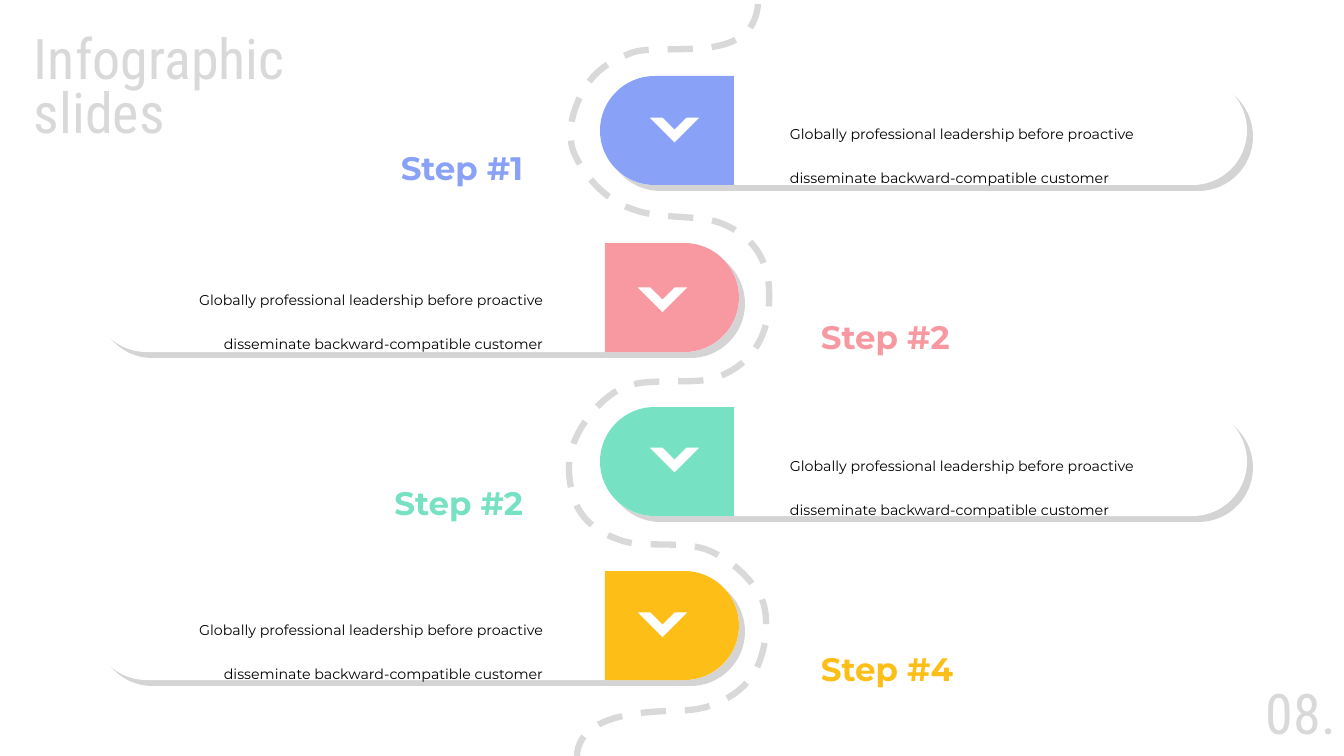
"""Build the four-step winding-road infographic slide."""
from dataclasses import dataclass

from lxml.etree import SubElement
from pptx import Presentation
from pptx.dml.color import RGBColor
from pptx.enum.dml import MSO_LINE
from pptx.enum.shapes import MSO_SHAPE
from pptx.enum.text import MSO_AUTO_SIZE, PP_ALIGN
from pptx.oxml.ns import qn
from pptx.util import Pt

PX = 18143


@dataclass(frozen=True)
class Theme:
    title_font: str = "Roboto Condensed"
    body_font: str = "Montserrat"
    display_size: int = 80
    body_size: int = 35
    road_width: int = 9
    grey: str = "D9D9D9"
    black: str = "000000"
    white: str = "FFFFFF"
    blue: str = "89A2F7"
    pink: str = "F899A2"
    green: str = "77E1C3"
    yellow: str = "FDBE17"


theme = Theme()
deck = Presentation()
deck.slide_width, deck.slide_height = 1344 * PX, 756 * PX
page = deck.slides.add_slide(deck.slide_layouts[6])


def add_text(text, frame, font, size, color, spacing, align=PP_ALIGN.LEFT, bold=False, raised=False):
    box = page.shapes.add_textbox(*(length * PX for length in frame))
    box.text_frame.word_wrap = True
    box.text_frame.auto_size = MSO_AUTO_SIZE.SHAPE_TO_FIT_TEXT
    para = box.text_frame.paragraphs[0]
    para.text = text
    para.alignment = align
    para.line_spacing = spacing
    para.font.name = font
    para.font.size = Pt(size)
    para.font.bold = bold
    para.font.color.rgb = RGBColor.from_string(color)
    if raised:
        for span in para.runs:
            span._r.get_or_add_rPr().set("baseline", "30000")


def add_outline(start, segments, color, closed=True):
    """Draw segments of one point (line) or three points (Bezier curve)."""
    builder = page.shapes.build_freeform(start[0] * PX, start[1] * PX, scale=1.0)
    builder.add_line_segments([(x * PX, y * PX) for x, y in (part[-1] for part in segments)], close=closed)
    shape = builder.convert_to_shape()
    shape.shadow.inherit = False
    lines = list(shape._element.iter(qn("a:lnTo")))
    for line, part in zip(lines, segments):
        if len(part) == 3:
            line.tag = qn("a:cubicBezTo")
            line.clear()
            for x, y in part:
                SubElement(line, qn("a:pt"), x=str(int(x * PX - shape.left)), y=str(int(y * PX - shape.top)))
    if closed:
        shape.fill.solid()
        shape.fill.fore_color.rgb = RGBColor.from_string(color)
        shape.line.fill.background()
    else:
        shape.fill.background()
        shape.line.color.rgb = RGBColor.from_string(color)
    return shape


PILL_WIDTH, TAB_WIDTH, HEIGHT = 647, 134, 109
RADIUS = HEIGHT / 2
HANDLE = RADIUS * 0.45
DETAIL = "Globally professional leadership before proactive disseminate backward-compatible customer"
CHEVRON = [(35, 0), (35, 35), (26, 26), (26, 9), (9, 9)]
STEPS = [
    ("Step #1", theme.blue, 76, 100, 105, (243, 105, 285, 106)),
    ("Step #2", theme.pink, 243, 270, 271, (816, 274, 260, 106)),
    ("Step #2", theme.green, 407, 430, 437, (277, 440, 251, 106)),
    ("Step #4", theme.yellow, 571, 595, 601, (816, 606, 260, 106)),
]

for index, (label, color, top, chevron_top, detail_top, label_frame) in enumerate(STEPS):
    opens_right = index % 2 == 0
    pill_left, chevron_left, detail_left = (600, 657, 785) if opens_right else (92, 645, 126)
    pill = page.shapes.add_shape(
        MSO_SHAPE.ROUNDED_RECTANGLE, pill_left * PX, top * PX, PILL_WIDTH * PX, HEIGHT * PX
    )
    pill.adjustments[0] = 0.5
    pill.fill.solid()
    pill.fill.fore_color.rgb = RGBColor.from_string(theme.white)
    pill.line.fill.background()
    pill.shadow.inherit = False
    effects = pill._element.spPr.find(qn("a:effectLst"))
    shadow = SubElement(effects, qn("a:outerShdw"), blurRad="0", dist=str(Pt(12.1)),
                        dir="2700000", algn="tl", rotWithShape="0")
    shade = SubElement(shadow, qn("a:srgbClr"), val=theme.black)
    SubElement(shade, qn("a:alpha"), val="17000")

    side = -1 if opens_right else 1
    round_edge = 600 if opens_right else 739
    flat_edge = round_edge - side * TAB_WIDTH
    center = round_edge - side * RADIUS
    middle, bottom = top + RADIUS, top + HEIGHT
    bend = round_edge - side * HANDLE
    add_outline((center, top), [
        [(flat_edge, top)],
        [(flat_edge, bottom)],
        [(center, bottom)],
        [(bend, bottom), (round_edge, bottom - HANDLE), (round_edge, middle)],
        [(round_edge, top + HANDLE), (bend, top), (center, top)],
    ], color)

    chevron = add_outline(
        (chevron_left, chevron_top), [[(chevron_left + x, chevron_top + y)] for x, y in CHEVRON], theme.white
    )
    chevron.rotation = 135

    detail_align, label_align = PP_ALIGN.LEFT, PP_ALIGN.RIGHT
    if not opens_right:
        detail_align, label_align = label_align, detail_align
    add_text(DETAIL, (detail_left, detail_top, 422, 93), theme.body_font, theme.body_size,
             theme.black, 1.5, detail_align, raised=True)
    add_text(label, label_frame, theme.body_font, theme.display_size,
             color, 1.5, label_align, bold=True, raised=True)

ROAD_CURVES = [
    ((753, 68), (662, 41), (631, 53)),
    ((600, 65), (590, 78), (581, 95)),
    ((572, 112), (566, 137), (575, 155)),
    ((584, 174), (603, 199), (632, 209)),
    ((660, 220), (701, 214), (723, 224)),
    ((745, 233), (759, 248), (765, 267)),
    ((772, 286), (770, 318), (762, 336)),
    ((754, 354), (741, 368), (718, 377)),
    ((695, 386), (647, 376), (622, 388)),
    ((598, 400), (580, 425), (573, 445)),
    ((565, 465), (570, 492), (578, 508)),
    ((587, 524), (601, 534), (623, 541)),
    ((645, 548), (686, 540), (710, 551)),
    ((733, 561), (755, 582), (763, 602)),
    ((770, 623), (765, 658), (752, 676)),
    ((740, 694), (715, 708), (689, 710)),
    ((663, 712), (579, 708), (577, 756)),
]
road = add_outline((758, 4), ROAD_CURVES, theme.grey, closed=False)
road.line.width = Pt(theme.road_width)
road.line.dash_style = MSO_LINE.DASH

for text, frame in [("Infographic\vslides", (29, 34, 284, 166)), ("08.", (1261, 689, 87, 113))]:
    add_text(text, frame, theme.title_font, theme.display_size, theme.grey, 0.8)

deck.save("out.pptx")
